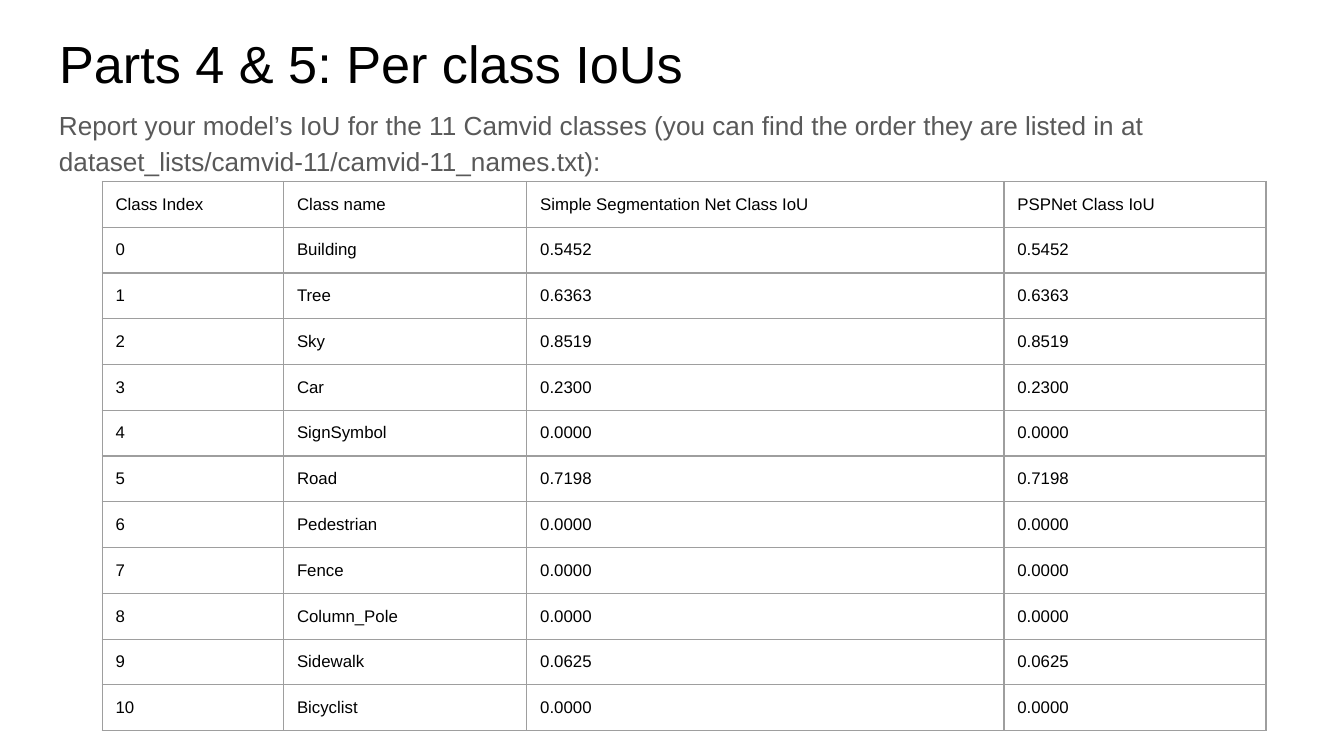
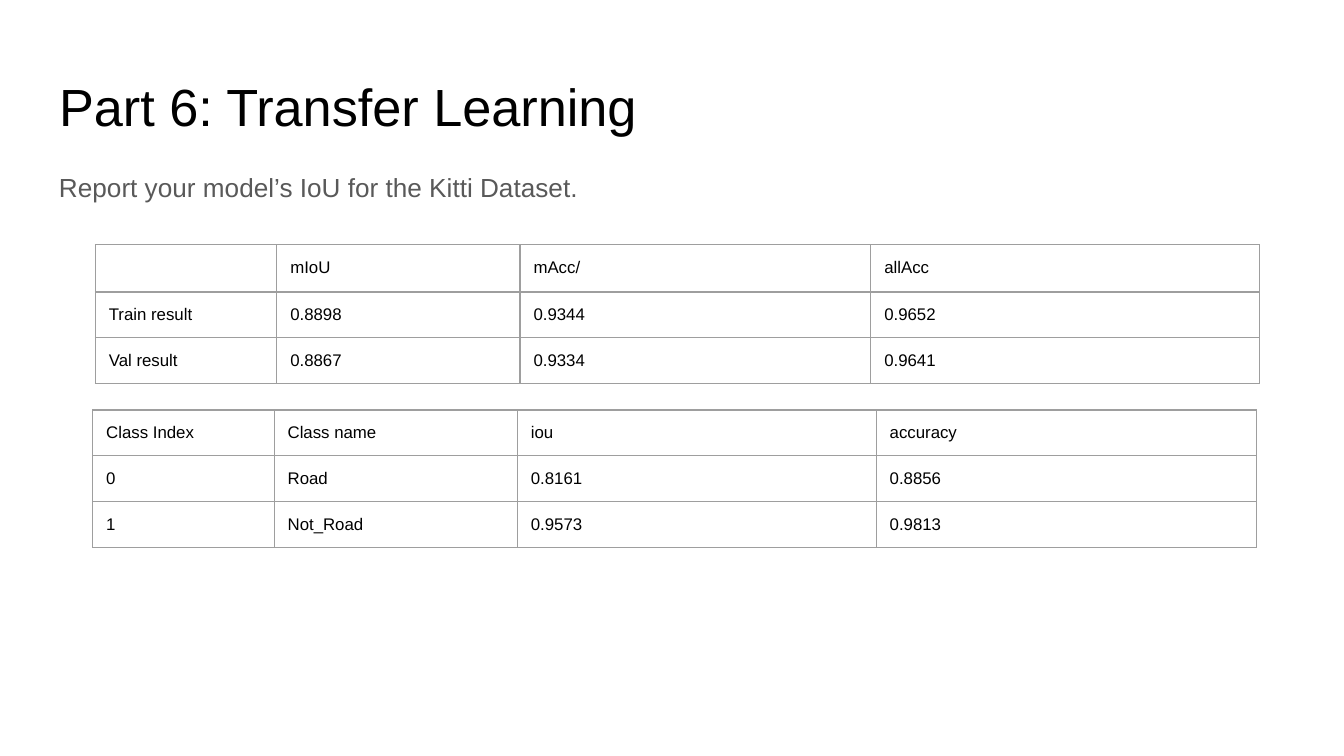
from dataclasses import dataclass

from lxml import etree
from pptx import Presentation
from pptx.dml.color import RGBColor
from pptx.enum.text import MSO_ANCHOR, MSO_AUTO_SIZE, PP_ALIGN
from pptx.oxml.ns import qn
from pptx.util import Inches, Pt

TOP = MSO_ANCHOR.TOP
NO_FIT = MSO_AUTO_SIZE.NONE
LEFT = PP_ALIGN.LEFT

# Square grid: 100 columns across the slide, 56.25 rows down it.
SLIDE_WIDTH = Inches(10)
GRID_COLUMNS, GRID_ROWS = 100, 56.25
TITLE_ONLY = 5


@dataclass(frozen=True)
class Theme:
    font: str = "Arial"
    title_size: float = 28
    body_size: float = 14
    cell_size: float = 9
    title_color: str = "000000"
    body_color: str = "595959"
    cell_color: str = "000000"
    background: str = "FFFFFF"
    border_color: str = "9E9E9E"
    border_width: float = 0.75


THEME = Theme()

TEXT_LEFT, TEXT_WIDTH = 3.4, 93.2
TITLE_HEIGHT, BODY_HEIGHT = 6.3, 7.2
INSET = 1
TABLE_WIDTH, ROW_HEIGHT = 86.6, 3.4
INDEX_WIDTH, NAME_WIDTH = 13.5, 18.1

CAMVID_IOUS = [
    ("Building", "0.5452"),
    ("Tree", "0.6363"),
    ("Sky", "0.8519"),
    ("Car", "0.2300"),
    ("SignSymbol", "0.0000"),
    ("Road", "0.7198"),
    ("Pedestrian", "0.0000"),
    ("Fence", "0.0000"),
    ("Column_Pole", "0.0000"),
    ("Sidewalk", "0.0625"),
    ("Bicyclist", "0.0000"),
]
# Both networks report the same IoU for every class.
CLASS_ROWS = [
    ("Class Index", "Class name", "Simple Segmentation Net Class IoU", "PSPNet Class IoU"),
    *((str(index), name, iou, iou) for index, (name, iou) in enumerate(CAMVID_IOUS)),
]
ROAD_ROWS = [
    ("Class Index", "Class name", "iou", "accuracy"),
    ("0", "Road", "0.8161", "0.8856"),
    ("1", "Not_Road", "0.9573", "0.9813"),
]
SUMMARY_ROWS = [
    ("", "mIoU", "mAcc/", "allAcc"),
    ("Train result", "0.8898", "0.9344", "0.9652"),
    ("Val result", "0.8867", "0.9334", "0.9641"),
]


def grid(units):
    return round(SLIDE_WIDTH * units / GRID_COLUMNS)


def set_insets(holder):
    """Apply the shared margins to a text frame or a table cell."""
    holder.margin_left = holder.margin_right = grid(INSET)
    holder.margin_top = holder.margin_bottom = grid(INSET)


def write_text(frame, text, *, size, color, line_spacing=1.0):
    para = frame.paragraphs[0]
    para.alignment = LEFT
    para.line_spacing = line_spacing
    if not text:
        # An empty cell still needs its type size, or its row grows.
        etree.SubElement(para._p, qn("a:endParaRPr"), sz=str(round(size * 100)))
        return
    span = para.add_run()
    span.text = text
    span.font.name = THEME.font
    span.font.size = Pt(size)
    span.font.color.rgb = RGBColor.from_string(color)


def place_text(box, text, top, height, **text_format):
    box.left, box.top = grid(TEXT_LEFT), grid(top)
    box.width, box.height = grid(TEXT_WIDTH), grid(height)
    frame = box.text_frame
    frame.word_wrap = True
    frame.auto_size = NO_FIT
    frame.vertical_anchor = TOP
    set_insets(frame)
    write_text(frame, text, **text_format)


def add_page(deck, title, title_top, body, body_top):
    page = deck.slides.add_slide(deck.slide_layouts[TITLE_ONLY])
    fill = page.background.fill
    fill.solid()
    fill.fore_color.rgb = RGBColor.from_string(THEME.background)
    place_text(page.shapes.title, title, title_top, TITLE_HEIGHT,
               size=THEME.title_size, color=THEME.title_color)
    place_text(page.shapes.add_textbox(0, 0, 0, 0), body, body_top, BODY_HEIGHT,
               size=THEME.body_size, color=THEME.body_color, line_spacing=1.15)
    return page


def set_borders(cell):
    properties = cell._tc.get_or_add_tcPr()
    for position, side in enumerate(("lnL", "lnR", "lnT", "lnB")):
        line = etree.Element(qn(f"a:{side}"), w=str(Pt(THEME.border_width)))
        fill = etree.SubElement(line, qn("a:solidFill"))
        etree.SubElement(fill, qn("a:srgbClr"), val=THEME.border_color)
        properties.insert(position, line)


def add_grid_table(page, rows, left, top, third_width):
    """Add a plain ruled table whose last column takes the remaining width."""
    widths = [INDEX_WIDTH, NAME_WIDTH, third_width]
    widths.append(TABLE_WIDTH - sum(widths))
    table = page.shapes.add_table(
        len(rows), len(widths), grid(left), grid(top),
        grid(TABLE_WIDTH), grid(ROW_HEIGHT * len(rows))).table
    table.first_row = table.horz_banding = False
    for column, width in zip(table.columns, widths):
        column.width = grid(width)
    for row, values in zip(table.rows, rows):
        row.height = grid(ROW_HEIGHT)
        for cell, value in zip(row.cells, values):
            set_insets(cell)
            cell.fill.background()
            set_borders(cell)
            write_text(cell.text_frame, value,
                       size=THEME.cell_size, color=THEME.cell_color)


def main():
    deck = Presentation()
    deck.slide_width, deck.slide_height = SLIDE_WIDTH, grid(GRID_ROWS)

    page = add_page(
        deck, "Parts 4 & 5: Per class IoUs", 1.3,
        "Report your model’s IoU for the 11 Camvid classes (you can find the order "
        "they are listed in at dataset_lists/camvid-11/camvid-11_names.txt):", 6.8)
    add_grid_table(page, CLASS_ROWS, left=7.6, top=13.5, third_width=35.5)

    page = add_page(
        deck, "Part 6: Transfer Learning", 4.5,
        "Report your model’s IoU for the Kitti Dataset.", 11.4)
    add_grid_table(page, ROAD_ROWS, left=6.9, top=30.5, third_width=26.7)
    add_grid_table(page, SUMMARY_ROWS, left=7.1, top=18.2, third_width=26.1)

    deck.save("out.pptx")


if __name__ == "__main__":
    main()
